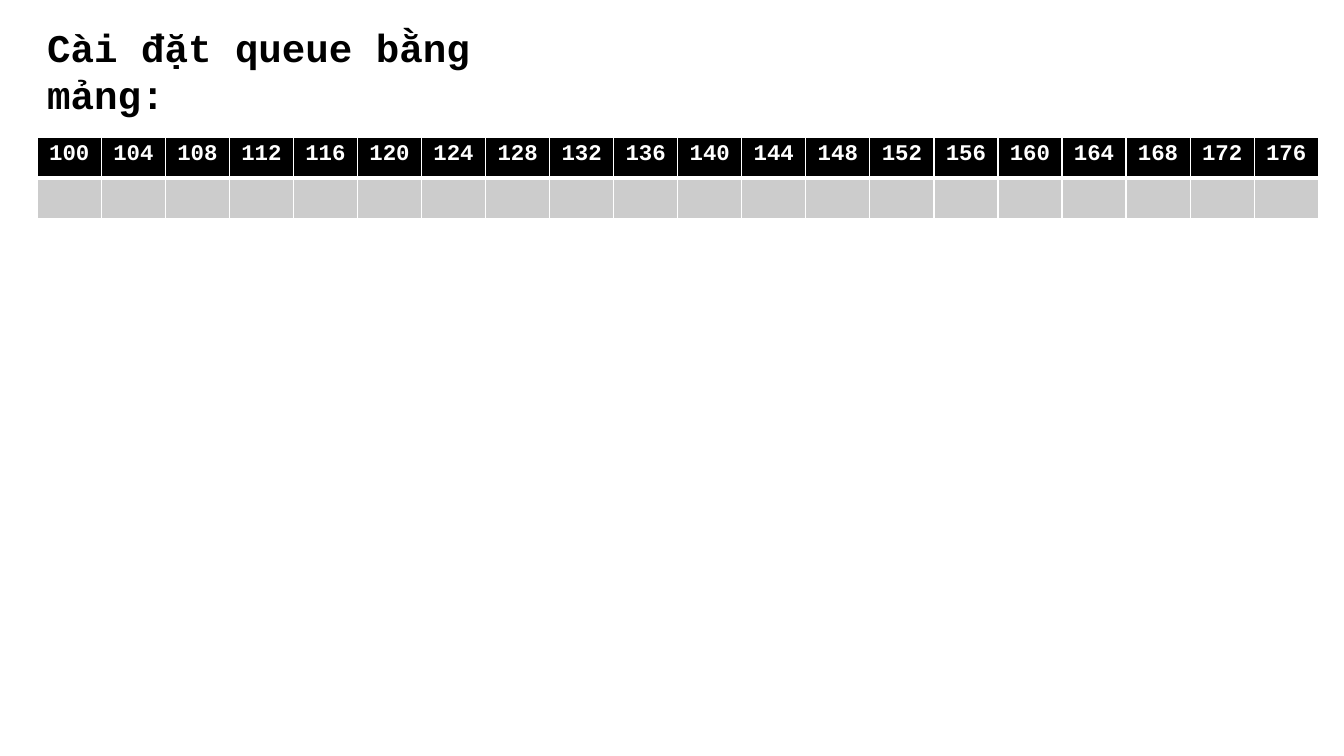
from lxml.etree import SubElement
from pptx import Presentation
from pptx.dml.color import RGBColor
from pptx.enum.text import PP_ALIGN
from pptx.oxml.ns import qn
from pptx.util import Cm, Pt

BLACK = RGBColor(0, 0, 0)
WHITE = RGBColor(255, 255, 255)
GREY = RGBColor(204, 204, 204)


class Page:
    face = {"name": "Courier New", "bold": True}

    def __init__(self, slide):
        self.slide = slide

    def label(self, para, text, size, color):
        run = para.add_run()
        run.text = text
        for key, value in {**self.face, "size": Pt(size)}.items():
            setattr(run.font, key, value)
        run.font.color.rgb = color

    def title(self, text, left, top, width, height):
        box = self.slide.shapes.add_textbox(Cm(left), Cm(top), Cm(width), Cm(height))
        box.text_frame.word_wrap = True
        self.label(box.text_frame.paragraphs[0], text, 28, BLACK)

    def edge(self, cell, side, width):
        line = SubElement(cell._tc.get_or_add_tcPr(), qn("a:ln" + side), w=str(Pt(width)))
        fill = SubElement(line, qn("a:solidFill"))
        SubElement(fill, qn("a:srgbClr"), val=str(WHITE))

    def cell(self, cell, fill, thick):
        for side in "LRTB":
            self.edge(cell, side, 3 if side == thick else 1)
        cell.fill.solid()
        cell.fill.fore_color.rgb = fill

    def queue(self, marks, left, top, width, height):
        frame = self.slide.shapes.add_table(
            2, len(marks), Cm(left), Cm(top), Cm(width), Cm(height))
        for col, mark in enumerate(marks):
            head = frame.table.cell(0, col)
            self.cell(head, BLACK, "B")
            para = head.text_frame.paragraphs[0]
            para.alignment = PP_ALIGN.CENTER
            self.label(para, mark, 16, WHITE)
            self.cell(frame.table.cell(1, col), GREY, "T")


deck = Presentation()
deck.slide_width, deck.slide_height = Cm(33.87), Cm(19.05)
page = Page(deck.slides.add_slide(deck.slide_layouts[6]))
page.title("Cài đặt queue bằng mảng:", 0.94, 0.46, 13.67, 1.45)
page.queue([str(n) for n in range(100, 180, 4)], 0.94, 3.45, 32.3, 2.06)
deck.save("out.pptx")
